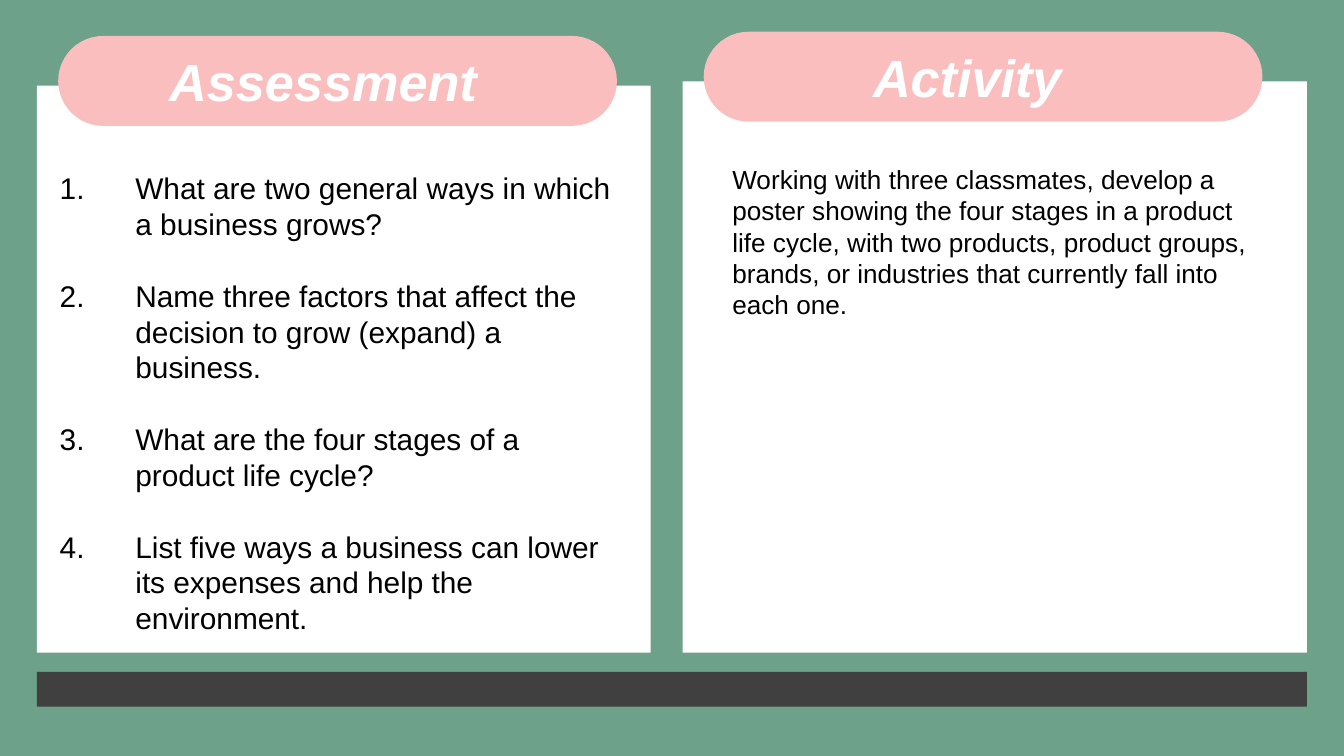
from dataclasses import dataclass

from lxml import etree
from pptx import Presentation
from pptx.dml.color import RGBColor
from pptx.enum.shapes import MSO_SHAPE
from pptx.enum.text import PP_ALIGN
from pptx.oxml.ns import qn
from pptx.util import Cm, Pt

RECTANGLE = MSO_SHAPE.RECTANGLE
ROUNDED = MSO_SHAPE.ROUNDED_RECTANGLE
LEFT, CENTER = PP_ALIGN.LEFT, PP_ALIGN.CENTER


@dataclass(frozen=True)
class Theme:
    """Colours, font and type sizes of the deck."""
    green: RGBColor = RGBColor(0x6D, 0xA1, 0x8A)
    pink: RGBColor = RGBColor(0xFA, 0xBE, 0xBF)
    white: RGBColor = RGBColor(0xFF, 0xFF, 0xFF)
    black: RGBColor = RGBColor(0, 0, 0)
    charcoal: RGBColor = RGBColor(0x40, 0x40, 0x40)
    font: str = "Arial"
    title: int = 28
    question: int = 16
    body: int = 14
    question_gap: float = 19.2


THEME = Theme()
QUESTIONS = [
    "What are two general ways in which a business grows?",
    "Name three factors that affect the decision to grow (expand) a business.",
    "What are the four stages of a product life cycle?",
    "List five ways a business can lower its expenses and help the environment.",
]
ACTIVITY = (
    "Working with three classmates, develop a poster showing the four stages "
    "in a product life cycle, with two products, product groups, brands, or "
    "industries that currently fall into each one."
)


def add_block(page, kind, box, color):
    """Add a flat filled shape in a box given in centimetres."""
    block = page.shapes.add_shape(kind, *map(Cm, box))
    block.shadow.inherit = False
    block.fill.solid()
    block.fill.fore_color.rgb = color
    block.line.fill.background()
    return block


def add_text(page, box, lines, size, color, align=LEFT, strong=False):
    """Add a wrapped text box with one paragraph per line and return its frame."""
    frame = page.shapes.add_textbox(*map(Cm, box)).text_frame
    frame.word_wrap = True
    frame.text = "\n".join(lines)
    for para in frame.paragraphs:
        para.alignment = align
        para.font.name = THEME.font
        para.font.size = Pt(size)
        para.font.color.rgb = color
        para.font.bold = para.font.italic = strong
    return frame


def number_paragraphs(frame, indent, gap):
    """Number the paragraphs with a hanging indent and a gap between them."""
    for index, para in enumerate(frame.paragraphs):
        if index:
            para.space_before = Pt(gap)
        props = para._p.get_or_add_pPr()
        props.set("marL", str(Cm(indent)))
        props.set("indent", str(-Cm(indent)))
        number = etree.Element(qn("a:buAutoNum"), type="arabicPeriod")
        props.find(qn("a:defRPr")).addprevious(number)


def add_panel(page, box, title, title_left, title_width, align):
    """Add a white panel with a pink title pill over its top edge."""
    left, top, width, height = box
    add_block(page, RECTANGLE, box, THEME.white)
    pill_top = top - 0.94
    pill = add_block(page, ROUNDED, (left + 0.4, pill_top, 10.56, 1.7), THEME.pink)
    pill.adjustments[0] = 0.5
    add_text(page, (left + title_left, pill_top + 0.13, title_width, 1.45),
             [title], THEME.title, THEME.white, align, True)


def add_assessment(page, box):
    """Add the panel of numbered review questions."""
    left, top, width, height = box
    add_panel(page, box, "Assessment", 1.2, 8.41, CENTER)
    frame = add_text(page, (left + 0.18, top + 1.47, 11.15, height - 1.47),
                     QUESTIONS, THEME.question, THEME.black)
    number_paragraphs(frame, 1.43, THEME.question_gap)


def add_activity(page, box):
    """Add the panel describing the group activity."""
    left, top, width, height = box
    add_panel(page, box, "Activity", 3.35, 7.59, LEFT)
    add_text(page, (left + 0.69, top + 1.42, 10.59, 3.25),
             [ACTIVITY], THEME.body, THEME.black)


def main():
    """Build the slide and save the deck."""
    deck = Presentation()
    deck.slide_width, deck.slide_height = Cm(25.4), Cm(14.29)
    page = deck.slides.add_slide(deck.slide_layouts[6])
    page.background.fill.solid()
    page.background.fill.fore_color.rgb = THEME.green
    add_assessment(page, (0.7, 1.62, 11.6, 10.72))
    add_activity(page, (12.9, 1.54, 11.8, 10.8))
    add_block(page, RECTANGLE, (0.7, 12.7, 24, 0.66), THEME.charcoal)
    deck.save("out.pptx")


if __name__ == "__main__":
    main()
